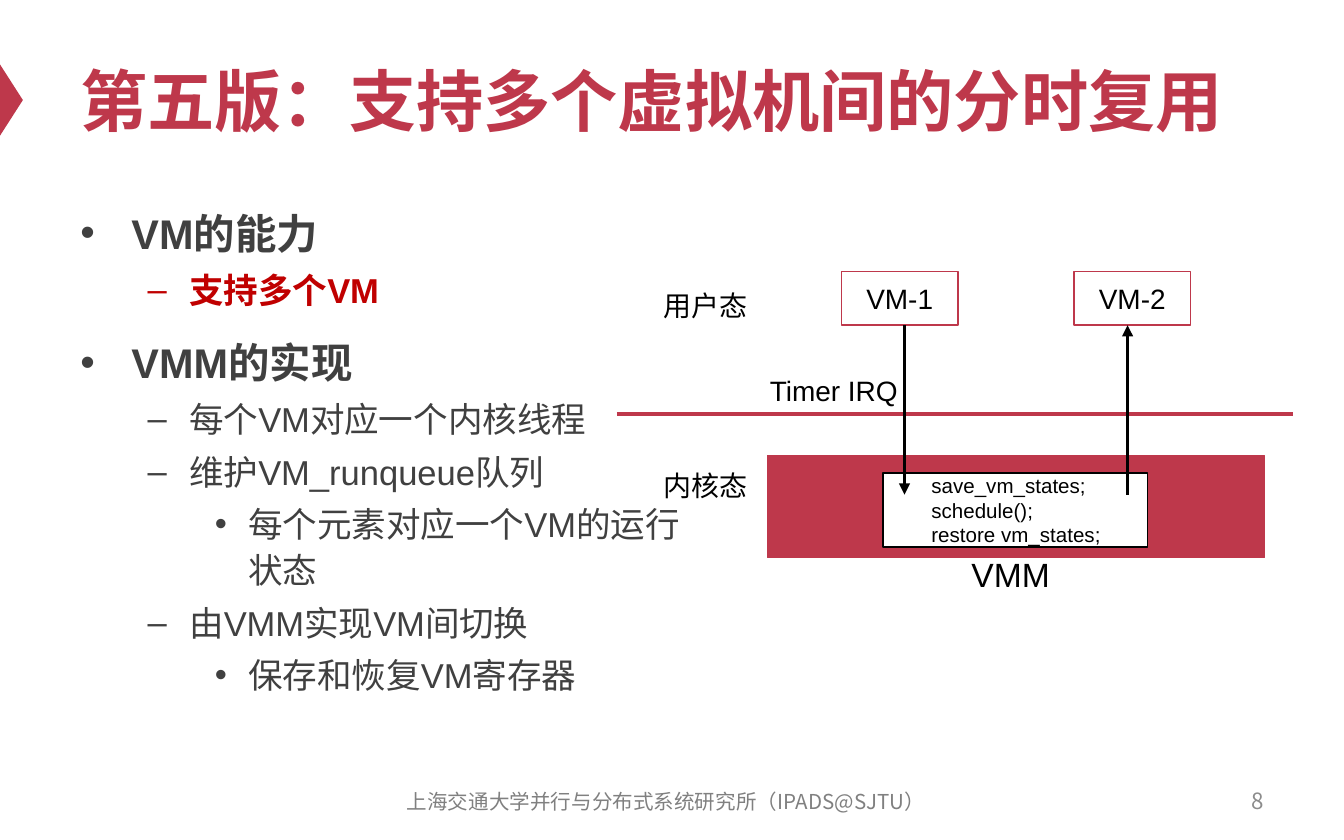
from dataclasses import dataclass

from pptx import Presentation
from pptx.dml.color import RGBColor
from pptx.enum.shapes import MSO_CONNECTOR, MSO_SHAPE
from pptx.enum.text import MSO_ANCHOR, MSO_AUTO_SIZE, PP_ALIGN
from pptx.oxml.ns import qn
from pptx.util import Inches, Pt
from lxml.etree import SubElement


@dataclass(frozen=True)
class Theme:
    crimson: str = "BE384B"
    highlight: str = "C00000"
    body: str = "404040"
    footer: str = "808080"
    number: str = "8C8C8C"
    black: str = "000000"
    white: str = "FFFFFF"
    latin: str = "Arial"
    chinese: str = "Noto Sans CJK SC"
    title_size: float = 36
    heading_size: float = 22.2
    item_size: float = 18.5
    vmm_size: float = 18
    label_size: float = 15
    number_size: float = 12
    small_size: float = 11


THEME = Theme()

LEVELS = [
    (0.38, -0.38, "•"),
    (0.81, -0.31, "–"),
    (1.25, -0.25, "•"),
]

OUTLINE = [
    (0, "VM的能力", THEME.body, True),
    (1, "支持多个VM", THEME.highlight, True),
    (0, "VMM的实现", THEME.body, True),
    (1, "每个VM对应一个内核线程", THEME.body, False),
    (1, "维护VM_runqueue队列", THEME.body, False),
    (2, "每个元素对应一个VM的运行状态", THEME.body, False),
    (1, "由VMM实现VM间切换", THEME.body, False),
    (2, "保存和恢复VM寄存器", THEME.body, False),
]


def color(value):
    return RGBColor.from_string(value)


def format_runs(paragraph, size, font_color, bold=False, latin=THEME.latin):
    for run in paragraph.runs:
        run.font.size = Pt(size)
        run.font.bold = bold
        run.font.color.rgb = color(font_color)
        run.font.name = latin
        properties = run._r.get_or_add_rPr()
        SubElement(properties, qn("a:ea"), typeface=THEME.chinese)


def fill_text(shape, text, size, font_color=THEME.black, align=PP_ALIGN.LEFT,
              anchor=MSO_ANCHOR.MIDDLE, **style):
    frame = shape.text_frame
    frame.text = text
    frame.word_wrap = True
    frame.vertical_anchor = anchor
    for paragraph in frame.paragraphs:
        paragraph.alignment = align
        format_runs(paragraph, size, font_color, **style)
    return frame


def add_text(slide, box, text, size, font_color, **style):
    shape = slide.shapes.add_textbox(*map(Inches, box))
    return fill_text(shape, text, size, font_color, **style)


def add_label(slide, box, text, size=THEME.label_size):
    frame = add_text(slide, box, text, size, THEME.black, anchor=MSO_ANCHOR.TOP)
    frame.word_wrap = False
    frame.auto_size = MSO_AUTO_SIZE.SHAPE_TO_FIT_TEXT


def add_box(slide, box, fill, line=None, kind=MSO_SHAPE.RECTANGLE):
    shape = slide.shapes.add_shape(kind, *map(Inches, box))
    shape.shadow.inherit = False
    shape.fill.solid()
    shape.fill.fore_color.rgb = color(fill)
    if line:
        shape.line.color.rgb = color(line)
        shape.line.width = Pt(0.75)
    else:
        shape.line.fill.background()
    return shape


def add_line(slide, start, end, line_color, arrow=False):
    connector = slide.shapes.add_connector(
        MSO_CONNECTOR.STRAIGHT, *map(Inches, start + end))
    connector.line.color.rgb = color(line_color)
    connector.line.width = Pt(2)
    if arrow:
        SubElement(connector.line._get_or_add_ln(), qn("a:tailEnd"), type="triangle")
    SubElement(connector._element.spPr, qn("a:effectLst"))


def set_bullet(paragraph, level):
    margin, indent, character = LEVELS[level]
    paragraph.level = level
    properties = paragraph._p.get_or_add_pPr()
    properties.set("marL", str(Inches(margin)))
    properties.set("indent", str(Inches(indent)))
    SubElement(properties, qn("a:buFont"), typeface=THEME.latin)
    SubElement(properties, qn("a:buChar"), char=character)


def add_outline(slide):
    shape = slide.shapes.add_textbox(*map(Inches, (0.5, 1.46, 4.81, 4.12)))
    frame = shape.text_frame
    frame.word_wrap = True
    frame.text = "\n".join(text for _, text, _, _ in OUTLINE)
    for index, (paragraph, item) in enumerate(zip(frame.paragraphs, OUTLINE)):
        level, _, font_color, bold = item
        size = THEME.item_size if level else THEME.heading_size
        set_bullet(paragraph, level)
        paragraph.line_spacing = 1.1
        if index:
            paragraph.space_before = Pt(0.2 * size if level else 12)
        format_runs(paragraph, size, font_color, bold)


def add_frame(slide):
    marker = add_box(slide, (-0.18, 0.66, 0.53, 0.17), THEME.crimson,
                     kind=MSO_SHAPE.ISOSCELES_TRIANGLE)
    marker.rotation = 90
    add_text(slide, (0.5, 0.25, 9, 0.98), "第五版：支持多个虚拟机间的分时复用",
             THEME.title_size, THEME.crimson, bold=True)
    add_text(slide, (7.17, 5.79, 2.33, 0.33), "8", THEME.number_size,
             THEME.number, align=PP_ALIGN.RIGHT, latin=THEME.chinese)
    add_text(slide, (2.79, 5.8, 4.33, 0.33),
             "上海交通大学并行与分布式系统研究所（IPADS@SJTU）", THEME.small_size,
             THEME.footer, align=PP_ALIGN.CENTER, latin=THEME.chinese)


def add_switch_diagram(slide):
    add_line(slide, (4.59, 3.08), (9.62, 3.08), THEME.crimson)
    add_box(slide, (5.71, 3.39, 3.7, 0.76), THEME.crimson, THEME.crimson)
    add_label(slide, (4.84, 3.44, 0.83, 0.35), "内核态")
    add_label(slide, (4.84, 2.1, 0.83, 0.35), "用户态")
    add_label(slide, (5.63, 2.73, 1.16, 0.35), "Timer IRQ")
    add_label(slide, (7.13, 4.07, 0.79, 0.4), "VMM", THEME.vmm_size)

    code = add_box(slide, (6.57, 3.52, 1.97, 0.55), THEME.white, THEME.black)
    frame = fill_text(code, "save_vm_states;\nschedule();\nrestore vm_states;",
                      THEME.small_size)
    frame.margin_left = Inches(0.36)

    for name, left in (("VM-1", 6.26), ("VM-2", 7.99)):
        machine = add_box(slide, (left, 2.02, 0.87, 0.4), THEME.white, THEME.crimson)
        fill_text(machine, name, THEME.label_size, align=PP_ALIGN.CENTER)

    user_end, kernel_end = 2.42, 3.68
    add_line(slide, (6.73, user_end), (6.73, kernel_end), THEME.black, arrow=True)
    add_line(slide, (8.39, kernel_end), (8.39, user_end), THEME.black, arrow=True)


def main():
    presentation = Presentation()
    presentation.slide_width = Inches(10)
    presentation.slide_height = Inches(6.25)
    slide = presentation.slides.add_slide(presentation.slide_layouts[6])
    add_frame(slide)
    add_outline(slide)
    add_switch_diagram(slide)
    presentation.save("out.pptx")


if __name__ == "__main__":
    main()
